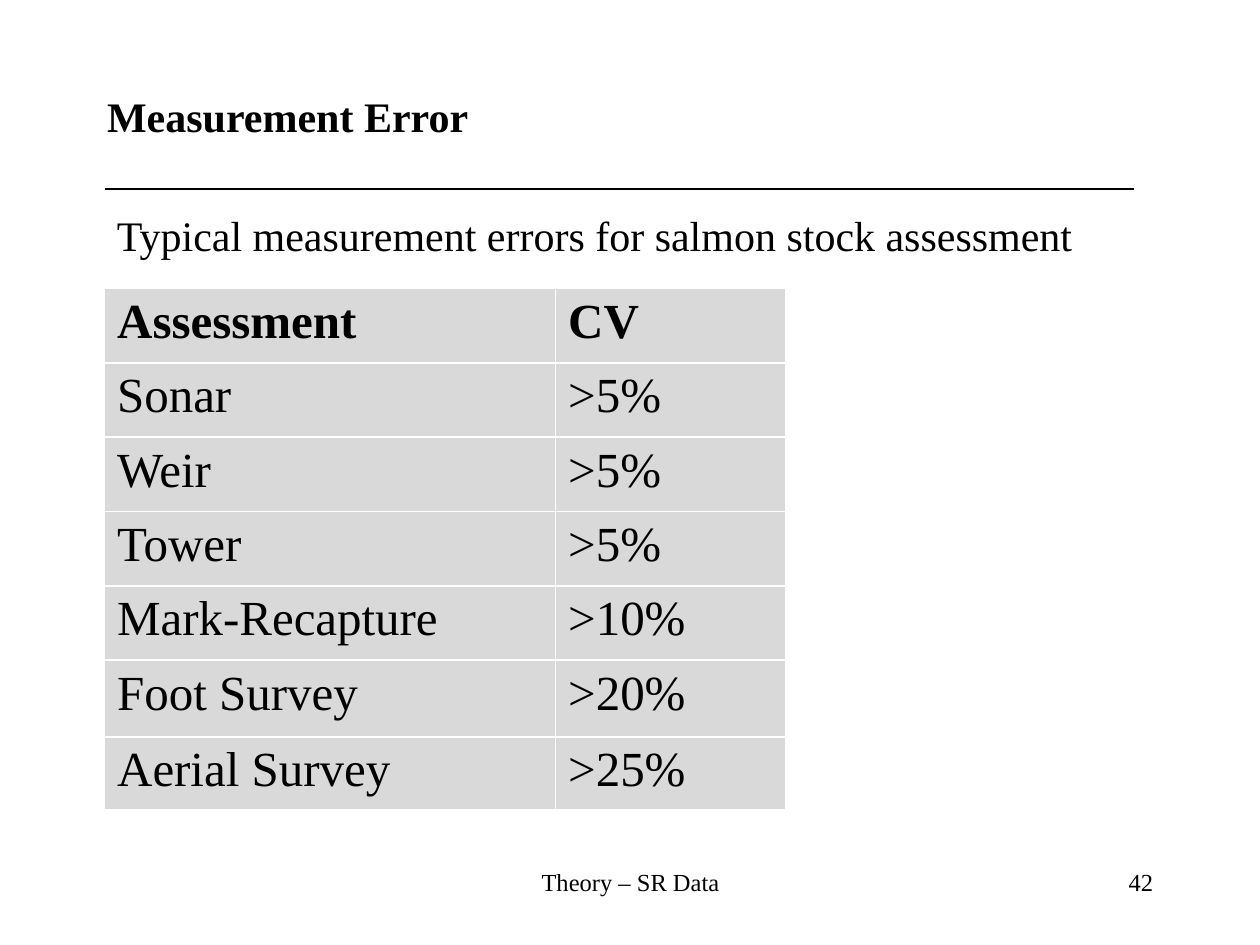
"""Build the measurement error slide with its assessment table."""
from dataclasses import dataclass

from lxml import etree
from pptx import Presentation
from pptx.dml.color import RGBColor
from pptx.enum.shapes import MSO_CONNECTOR
from pptx.enum.text import MSO_ANCHOR, MSO_AUTO_SIZE, PP_ALIGN
from pptx.oxml.ns import qn
from pptx.util import Pt

LEFT, CENTER, RIGHT = PP_ALIGN.LEFT, PP_ALIGN.CENTER, PP_ALIGN.RIGHT
TOP = MSO_ANCHOR.TOP
GROW = MSO_AUTO_SIZE.SHAPE_TO_FIT_TEXT
STRAIGHT = MSO_CONNECTOR.STRAIGHT
TITLE_ONLY = 5
EMU_PER_PX = 9144
FONT = "Times New Roman"
BLACK, GRAY = "000000", "D9D9D9"


@dataclass
class Label:
    """A line of text with its place in px and its style."""
    text: str
    left: int
    top: int
    width: int
    height: int
    size: int
    align: PP_ALIGN = LEFT
    bold: bool = False
    wrap: bool = True


TITLE = Label("Measurement Error", 75, 67, 309, 50, 24, bold=True, wrap=False)
LABELS = [
    Label("Typical measurement errors for salmon stock assessment",
          83, 161, 867, 50, 24),
    Label("Theory – SR Data", 342, 683, 317, 50, 14, CENTER),
    Label("42", 717, 683, 208, 50, 14, RIGHT),
]
ROWS = [
    ("Assessment", "CV"),
    ("Sonar", ">5%"),
    ("Weir", ">5%"),
    ("Tower", ">5%"),
    ("Mark-Recapture", ">10%"),
    ("Foot Survey", ">20%"),
    ("Aerial Survey", ">25%"),
]
COLUMN_WIDTHS = [358, 183]
ROW_HEIGHTS = [59, 59, 59, 59, 59, 61, 58]


def px(length: int) -> int:
    """Turn px into EMU."""
    return length * EMU_PER_PX


def color(code: str) -> RGBColor:
    """Turn a hex string into a colour."""
    return RGBColor.from_string(code)


def write(frame, text: str, size: int, bold: bool, align: PP_ALIGN) -> None:
    """Set one paragraph of text and its format."""
    frame.text = text
    para = frame.paragraphs[0]
    para.alignment = align
    font = para.runs[0].font
    font.name, font.size, font.bold = FONT, Pt(size), bold
    font.color.rgb = color(BLACK)


def fill_box(box, label: Label) -> None:
    """Place a text shape and fill it with its label."""
    box.left, box.top = px(label.left), px(label.top)
    box.width, box.height = px(label.width), px(label.height)
    frame = box.text_frame
    frame.word_wrap = label.wrap
    frame.auto_size = GROW
    frame.vertical_anchor = TOP
    write(frame, label.text, label.size, label.bold, label.align)


def draw_rule(slide) -> None:
    """Draw the thin line below the title."""
    rule = slide.shapes.add_connector(STRAIGHT, px(83), px(150), px(900), px(150))
    rule.line.color.rgb = color(BLACK)
    rule.line.width = Pt(0.75)
    etree.SubElement(rule.element.spPr, qn("a:effectLst"))


def draw_table(slide) -> None:
    """Draw the table of assessments and their errors."""
    table = slide.shapes.add_table(
        len(ROWS), len(COLUMN_WIDTHS), px(83), px(229),
        px(sum(COLUMN_WIDTHS)), px(sum(ROW_HEIGHTS))).table
    for column, width in zip(table.columns, COLUMN_WIDTHS):
        column.width = px(width)
    for index, (row, height) in enumerate(zip(table.rows, ROW_HEIGHTS)):
        row.height = px(height)
        for cell, text in zip(row.cells, ROWS[index]):
            cell.fill.solid()
            cell.fill.fore_color.rgb = color(GRAY)
            write(cell.text_frame, text, 28, index == 0, LEFT)


def main() -> None:
    """Build and save the deck."""
    deck = Presentation()
    deck.slide_width, deck.slide_height = px(1000), px(750)
    slide = deck.slides.add_slide(deck.slide_layouts[TITLE_ONLY])
    fill_box(slide.shapes.title, TITLE)
    draw_rule(slide)
    for label in LABELS:
        fill_box(slide.shapes.add_textbox(0, 0, 0, 0), label)
    draw_table(slide)
    deck.save("out.pptx")


if __name__ == "__main__":
    main()
